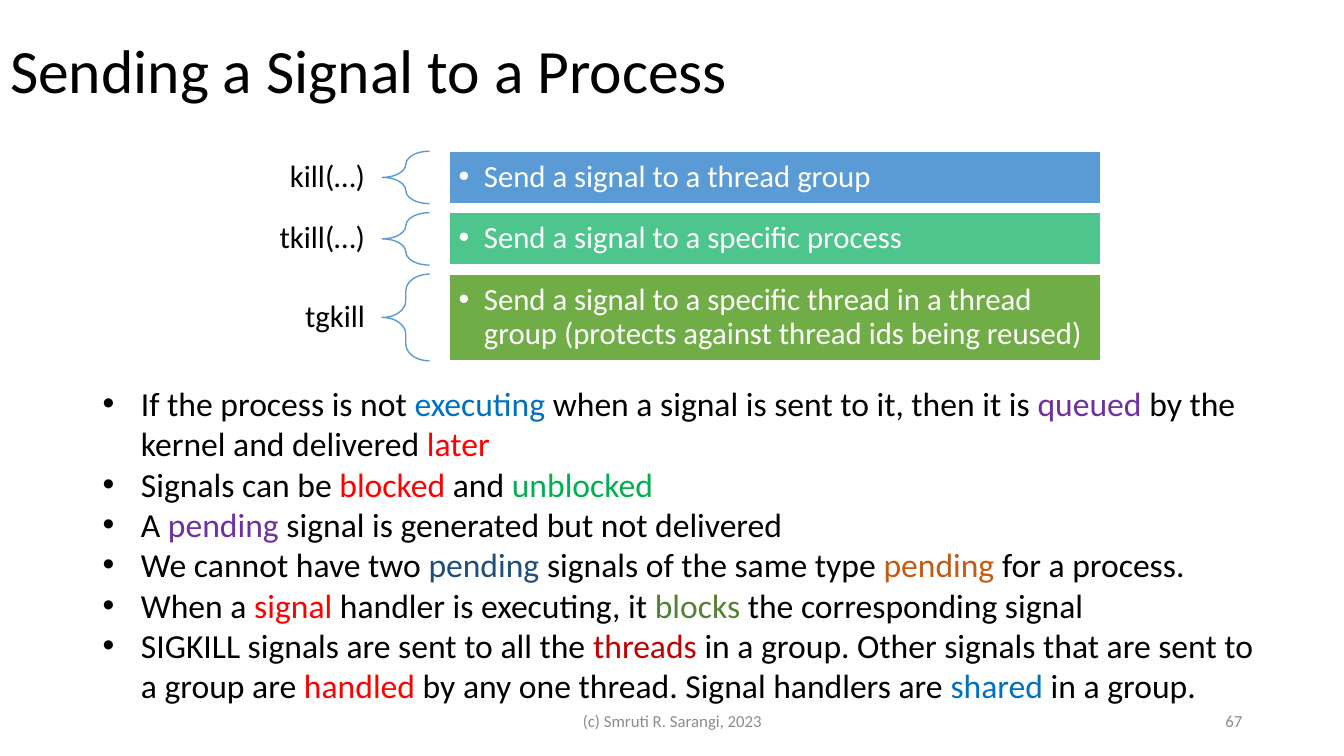
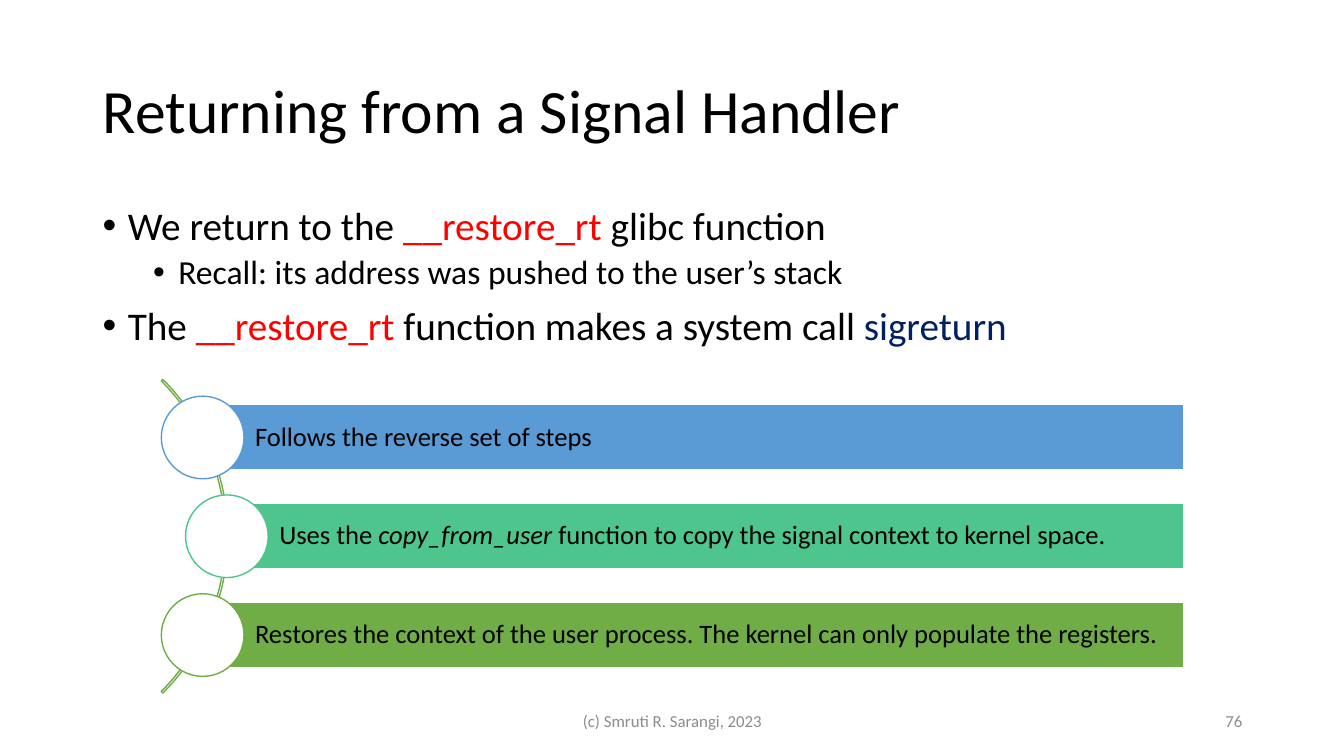
from dataclasses import dataclass

from lxml.etree import SubElement
from pptx import Presentation
from pptx.dml.color import RGBColor
from pptx.enum.shapes import MSO_SHAPE as Preset
from pptx.enum.text import MSO_ANCHOR as Anchor, MSO_AUTO_SIZE as AutoSize, PP_ALIGN as Align
from pptx.oxml.ns import qn
from pptx.util import Inches, Pt


@dataclass(frozen=True)
class Theme:
    font: str = "Calibri"
    black: str = "000000"
    white: str = "FFFFFF"
    grey: str = "8C8C8C"
    red: str = "FF0000"
    dark_red: str = "C00000"
    blue: str = "0070C0"
    deep_blue: str = "1F4E79"
    navy: str = "002060"
    purple: str = "7030A0"
    green: str = "00B050"
    olive: str = "548235"
    orange: str = "C55A11"
    accents: tuple = ("5B9BD5", "4DC58D", "70AD47")
    title_size: int = 44
    body_size: int = 28
    detail_size: int = 24
    call_size: int = 22
    step_size: int = 19
    footer_size: int = 12
    line_width: int = 1
    tight: float = 0.9


@dataclass(frozen=True)
class Part:
    text: str
    color: str = ""
    italic: bool = False


THEME = Theme()


class Deck:
    def __init__(self, theme):
        self.theme = theme
        self.prs = Presentation()
        self.prs.slide_width = Inches(13.33)
        self.prs.slide_height = Inches(7.5)
        self.slide = None

    def start(self, title, number, left, top):
        self.slide = self.prs.slides.add_slide(self.prs.slide_layouts[5])
        heading = self.slide.shapes.title
        heading.left, heading.top = Inches(left), Inches(top)
        heading.width, heading.height = Inches(11.5), Inches(1.45)
        self.frame(heading)
        self.paragraph(heading, [title], self.theme.title_size, spacing=self.theme.tight)
        for text, x, width, align in (
            ("(c) Smruti R. Sarangi, 2023", 4.42, 4.5, Align.CENTER),
            (str(number), 9.42, 3, Align.RIGHT),
        ):
            self.text([text], (x, 6.95, width, 0.4), self.theme.footer_size,
                      color=self.theme.grey, align=align)

    def frame(self, shape, anchor=Anchor.MIDDLE, insets=(0.1, 0.05, 0.1, 0.05)):
        frame = shape.text_frame
        frame.word_wrap = True
        frame.auto_size = AutoSize.NONE
        frame.vertical_anchor = anchor
        frame.margin_left, frame.margin_top, frame.margin_right, frame.margin_bottom = map(Inches, insets)

    def paragraph(self, shape, parts, size, color=None, align=Align.LEFT, spacing=1.0,
                  bullet=None, before=0, new=False):
        frame = shape.text_frame
        paragraph = frame.add_paragraph() if new else frame.paragraphs[0]
        if bullet:
            margin, hang = bullet
            props = paragraph._p.get_or_add_pPr()
            props.set("marL", str(Inches(margin)))
            props.set("indent", str(-Inches(hang)))
            SubElement(props, qn("a:buFont")).set("typeface", "Arial")
            SubElement(props, qn("a:buChar")).set("char", "•")
        paragraph.alignment = align
        paragraph.line_spacing = spacing
        paragraph.space_before = Pt(before)
        for part in parts:
            part = Part(part) if isinstance(part, str) else part
            run = paragraph.add_run()
            run.text = part.text
            run.font.name = self.theme.font
            run.font.size = Pt(size)
            run.font.italic = part.italic
            run.font.color.rgb = RGBColor.from_string(part.color or color or self.theme.black)

    def box(self, place, anchor=Anchor.MIDDLE, **layout):
        box = self.slide.shapes.add_textbox(*map(Inches, place))
        self.frame(box, anchor, **layout)
        return box

    def text(self, parts, place, size, insets=(0.1, 0.05, 0.1, 0.05), **style):
        self.paragraph(self.box(place, insets=insets), parts, size, **style)

    def bullets(self, items, place):
        box = self.box(place, Anchor.TOP)
        for index, (parts, style) in enumerate(items):
            if index == 0:
                style = {**style, "before": 0}
            self.paragraph(box, parts, new=index > 0, **style)

    def shape(self, preset, place, line, fill=None, adjustments=()):
        shape = self.slide.shapes.add_shape(preset, *map(Inches, place))
        shape.shadow.inherit = False
        if fill:
            shape.fill.solid()
            shape.fill.fore_color.rgb = RGBColor.from_string(fill)
        else:
            shape.fill.background()
        shape.line.color.rgb = RGBColor.from_string(line)
        shape.line.width = Pt(self.theme.line_width)
        for index, value in enumerate(adjustments):
            shape.adjustments[index] = value
        return shape

    def bar(self, parts, place, fill, size, insets, **style):
        bar = self.shape(Preset.RECTANGLE, place, self.theme.white, fill)
        self.frame(bar, insets=insets)
        self.paragraph(bar, parts, size, spacing=self.theme.tight, **style)

    def call(self, name, meaning, top, height, fill):
        theme = self.theme
        self.text([name], (1.42, top, 2.37, height), theme.call_size,
                  insets=(0.17, 0.06, 0.17, 0.06), align=Align.RIGHT, spacing=theme.tight)
        self.shape(Preset.LEFT_BRACE, (3.79, top, 0.47, height), theme.accents[0],
                   adjustments=(0.35, 0.5))
        self.bar([meaning], (4.46, top, 6.46, height), fill, theme.call_size,
                 (0.09,) * 4, color=theme.white, bullet=(0.25, 0.25))

    def step(self, parts, center_x, center_y, fill):
        right, height, circle = 11.74, 0.65, 0.82
        self.bar(parts, (center_x, center_y - height / 2, right - center_x, height), fill,
                 self.theme.step_size, (0.52, 0.05, 0.05, 0.05))
        self.shape(Preset.OVAL, (center_x - circle / 2, center_y - circle / 2, circle, circle),
                   fill, self.theme.white)


def sending(deck):
    theme = deck.theme
    deck.start("Sending a Signal to a Process", 67, 0, 0)
    calls = (
        ("kill(…)", "Send a signal to a thread group", 0.52),
        ("tkill(…)", "Send a signal to a specific process", 0.52),
        ("tgkill", "Send a signal to a specific thread in a thread group "
                   "(protects against thread ids being reused)", 0.86),
    )
    top, gap = 1.5, 0.09
    for (name, meaning, height), accent in zip(calls, theme.accents):
        deck.call(name, meaning, top, height, accent)
        top += height + gap
    facts = (
        ["If the process is not ", Part("executing", theme.blue),
         " when a signal is sent to it, then it is ", Part("queued", theme.purple),
         " by the kernel and delivered ", Part("later", theme.red)],
        ["Signals can be ", Part("blocked", theme.red), " and ", Part("unblocked", theme.green)],
        ["A ", Part("pending", theme.purple), " signal is generated but not delivered"],
        ["We cannot have two ", Part("pending", theme.deep_blue),
         " signals of the same type ", Part("pending", theme.orange), " for a process."],
        ["When a ", Part("signal", theme.red), " handler is executing, it ",
         Part("blocks", theme.olive), " the corresponding signal"],
        ["SIGKILL signals are sent to all the ", Part("threads", theme.dark_red),
         " in a group. Other signals that are sent to a group are ", Part("handled", theme.red),
         " by any one thread. Signal handlers are ", Part("shared", theme.blue), " in a group."],
    )
    fact_style = {"size": theme.detail_size, "bullet": (0.38, 0.38)}
    deck.bullets([(fact, fact_style) for fact in facts], (0.92, 3.75, 11.63, 3.4))


def returning(deck):
    theme = deck.theme
    deck.start("Returning from a Signal Handler", 76, 0.92, 0.4)
    point = {"size": theme.body_size, "bullet": (0.25, 0.25), "spacing": theme.tight, "before": 10}
    detail = {**point, "size": theme.detail_size, "bullet": (0.75, 0.25), "before": 5}
    deck.bullets([
        (["We return to the ", Part("__restore_rt ", theme.red), "glibc function"], point),
        (["Recall: its address was pushed to the user’s stack"], detail),
        (["The ", Part("__restore_rt", theme.red), " function makes a system call ",
          Part("sigreturn", theme.navy)], point),
    ], (0.92, 2, 11.5, 1.56))
    deck.shape(Preset.BLOCK_ARC, (-2.14, 3.12, 4.4, 4.4), theme.accents[2],
               adjustments=(189, 27, 0.005))
    steps = (
        (["Follows the reverse set of steps"], 2.01),
        (["Uses the ", Part("copy_from_user", italic=True),
          " function to copy the signal context to kernel space."], 2.25),
        (["Restores the context of the user process. "
          "The kernel can only populate the registers."], 2.01),
    )
    for index, ((parts, center_x), accent) in enumerate(zip(steps, theme.accents)):
        deck.step(parts, center_x, 4.34 + index * 0.98, accent)


def main():
    deck = Deck(THEME)
    sending(deck)
    returning(deck)
    deck.prs.save("out.pptx")


if __name__ == "__main__":
    main()
